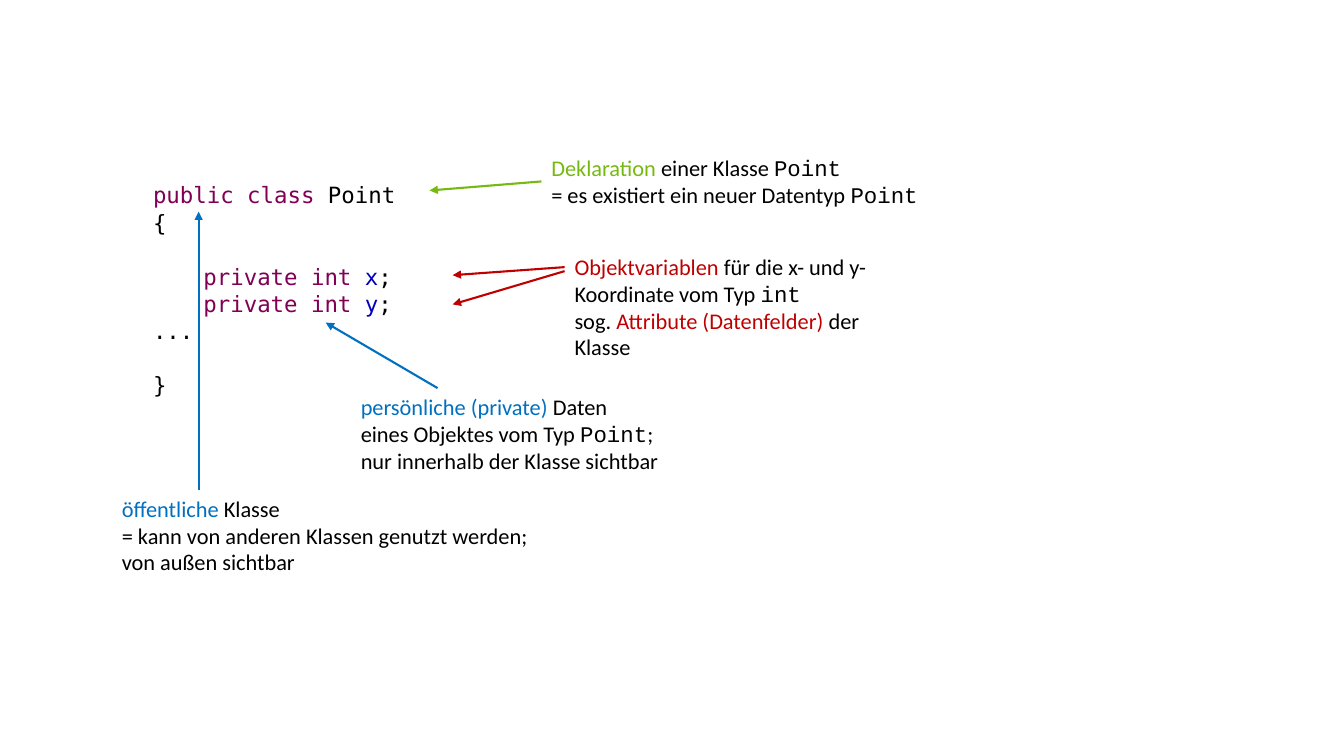
from lxml import etree
from pptx import Presentation, util as u
from pptx.dml.color import RGBColor
from pptx.enum import shapes, text
from pptx.oxml import ns

COLORS = {
    "black": "000000", "keyword": "7F0055", "field": "0000C0",
    "blue": "0070C0", "red": "C00000", "green": "76B911",
}
FONTS = {"body": "Calibri", "type": "Courier New", "code": "DejaVu Sans Mono"}


class ClassDiagram:
    """Draws code, notes and arrows on a grid of tenths of an inch."""

    cell = u.Inches(0.1)
    size = u.Pt(16)
    code_line = u.Pt(19.4)

    def __init__(self, slide):
        self.s = slide

    def grid(self, *lengths):
        return [round(n * self.cell) for n in lengths]

    def box(self, left, top, width, height):
        sp = self.s.shapes.add_textbox(*self.grid(left, top, width, height))
        tf = sp.text_frame
        tf.word_wrap = True
        tf.auto_size = text.MSO_AUTO_SIZE.SHAPE_TO_FIT_TEXT
        return tf

    def line(self, tf, index, runs, default_font):
        p = tf.paragraphs[0] if index == 0 else tf.add_paragraph()
        for content, color, *font in runs:
            r = p.add_run()
            r.text = content
            r.font.size = self.size
            r.font.name = FONTS[font[0] if font else default_font]
            r.font.color.rgb = RGBColor.from_string(COLORS[color])
        return p

    def note(self, place, lines):
        tf = self.box(*place)
        for i, runs in enumerate(lines):
            self.line(tf, i, runs, "body")

    def code(self, place, lines):
        tf = self.box(*place)
        for i, (blank_lines, runs) in enumerate(lines):
            p = self.line(tf, i, runs, "code")
            p.line_spacing = self.code_line
            p.space_before = self.code_line * blank_lines

    def arrow(self, color, start, end):
        line = self.s.shapes.add_connector(
            shapes.MSO_CONNECTOR.STRAIGHT, *self.grid(*start, *end))
        line.line.color.rgb = RGBColor.from_string(COLORS[color])
        line.line.width = u.Pt(1.5)
        ln = line.line._get_or_add_ln()
        etree.SubElement(ln, ns.qn("a:tailEnd"), type="triangle")
        etree.SubElement(line._element.spPr, ns.qn("a:effectLst"))


def field(name):
    return [("\t", "black"), ("private int ", "keyword"),
            (name, "field"), (";", "black")]


def main():
    prs = Presentation()
    prs.slide_width, prs.slide_height = u.Inches(13.33), u.Inches(7.5)
    d = ClassDiagram(prs.slides.add_slide(prs.slide_layouts[6]))

    d.code((14.2, 17.5, 50, 22.6), [
        (0, [("public class", "keyword"), (" Point", "black")]),
        (0, [("{", "black")]),
        (1, field("x")),
        (0, field("y")),
        (0, [("...", "black")]),
        (1, [("}", "black")]),
    ])
    d.note((11.1, 48.6, 42.8, 9.1), [
        [("öffentliche ", "blue"), ("Klasse", "black")],
        [("= kann von anderen Klassen genutzt werden;", "black")],
        [("von außen sichtbar", "black")],
    ])
    d.note((34.8, 38.5, 47.4, 9.1), [
        [("persönliche (private) ", "blue"), ("Daten", "black")],
        [("eines Objektes vom Typ ", "black"),
         ("Point", "black", "type"), (";", "black")],
        [("nur innerhalb der Klasse sichtbar", "black")],
    ])
    d.note((56, 24.6, 31.4, 11.8), [
        [("Objektvariablen ", "red"), ("für die x- und y-", "black")],
        [("Koordinate vom Typ ", "black"), ("int", "black", "type")],
        [("sog. ", "black"), ("Attribute (Datenfelder) ", "red"),
         ("der Klasse", "black")],
    ])
    d.note((53.7, 14.8, 47.4, 6.4), [
        [("Deklaration ", "green"), ("einer Klasse ", "black"),
         ("Point", "black", "type")],
        [("= es existiert ein neuer Datentyp ", "black"),
         ("Point", "black", "type")],
    ])

    for color, start, end in [
        ("blue", (19.7, 48.6), (19.7, 21)),
        ("blue", (43.4, 38.5), (32.3, 32)),
        ("red", (56, 26.5), (44.9, 27.3)),
        ("red", (56, 26.9), (44.9, 30.2)),
        ("green", (53.7, 18), (42.6, 18.9)),
    ]:
        d.arrow(color, start, end)

    prs.save("out.pptx")


if __name__ == "__main__":
    main()
